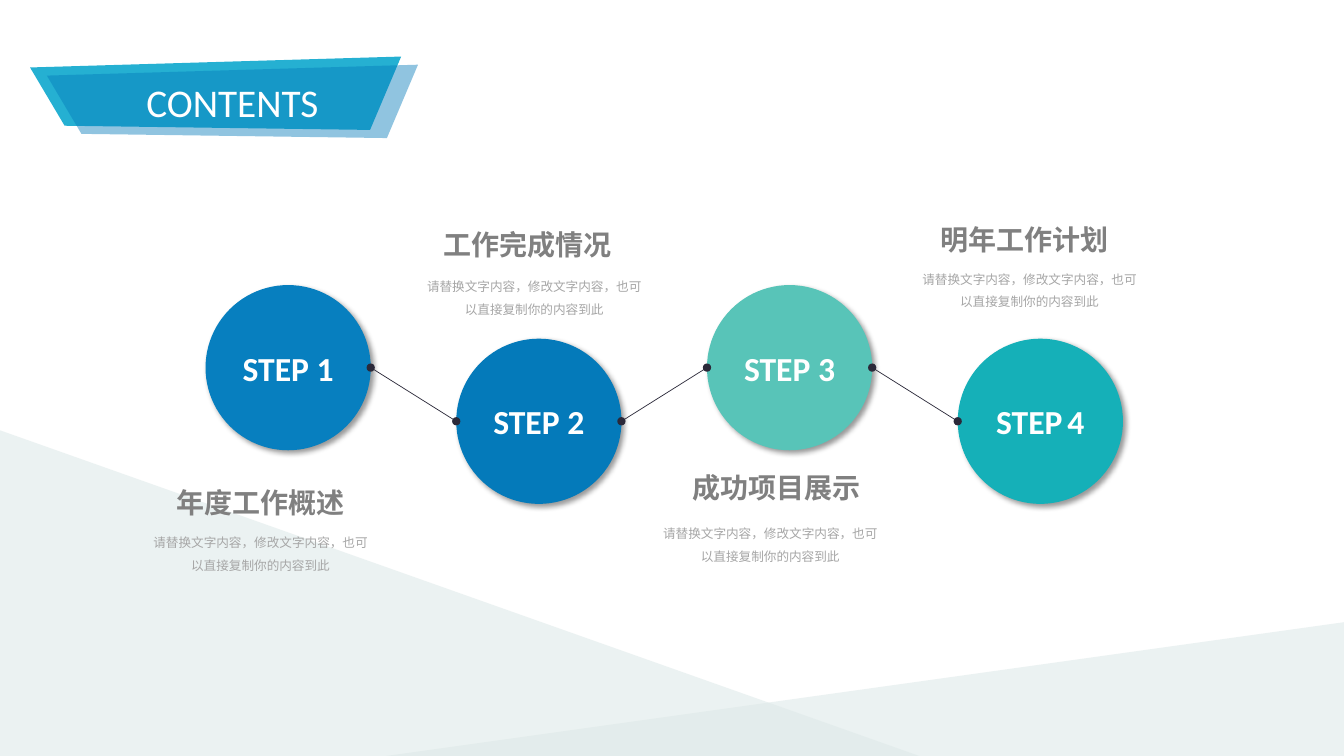
"""Build a contents slide with four linked steps."""
import pptx
import pptx.dml.color
import pptx.enum.shapes
import pptx.enum.text
import pptx.oxml
import pptx.oxml.ns
import pptx.util

Pt = pptx.util.Pt
SHAPE = pptx.enum.shapes.MSO_SHAPE
ALIGN = pptx.enum.text.PP_ALIGN
NS = pptx.oxml.ns.nsdecls("a")
SHADOW = (
    f'<a:effectLst {NS}><a:outerShdw blurRad="{Pt(4)}" dist="{Pt(3)}" dir="2700000" '
    'algn="tl" rotWithShape="0"><a:srgbClr val="000000"><a:alpha val="40000"/>'
    '</a:srgbClr></a:outerShdw></a:effectLst>'
)


def rgb(value):
    return pptx.dml.color.RGBColor.from_string(value)


class Deck:
    font = "Calibri"
    white = "FFFFFF"
    pale = "DDE9E8"
    ink = "2B2939"
    heading = "808080"
    body = "A6A6A6"

    def __init__(self, slide):
        self.shapes = slide.shapes

    def paint(self, s, color, alpha=100):
        s.shadow.inherit = False
        s.fill.solid()
        s.fill.fore_color.rgb = rgb(color)
        s.line.fill.background()
        if alpha < 100:
            clr = s._element.spPr.find(".//" + pptx.oxml.ns.qn("a:srgbClr"))
            clr.append(pptx.oxml.parse_xml(f'<a:alpha {NS} val="{alpha * 1000}"/>'))

    def paragraph(self, tf, runs, size, color, bold=False, align=ALIGN.CENTER, spacing=None):
        p = tf.paragraphs[0]
        p.alignment = align
        p.line_spacing = spacing
        p.font.name = self.font
        p.font.size = Pt(size)
        p.font.bold = bold
        p.font.color.rgb = rgb(color)
        for text, run_size in runs:
            r = p.add_run()
            r.text = text
            if run_size:
                r.font.size = Pt(run_size)

    def triangle(self, x, y, w, h, flip=False):
        s = self.shapes.add_shape(SHAPE.RIGHT_TRIANGLE, Pt(x), Pt(y), Pt(w), Pt(h))
        self.paint(s, self.pale, 56)
        if flip:
            s._element.spPr.find(pptx.oxml.ns.qn("a:xfrm")).set("flipH", "1")

    def ribbon(self, points, color, alpha=100, text=None):
        start, *rest = [(Pt(x), Pt(y)) for x, y in points]
        builder = self.shapes.build_freeform(*start)
        builder.add_line_segments(rest, close=True)
        s = builder.convert_to_shape()
        self.paint(s, color, alpha)
        if text:
            s.text_frame.vertical_anchor = pptx.enum.text.MSO_ANCHOR.MIDDLE
            self.paragraph(s.text_frame, [(text, None)], 28, self.white)

    def circle(self, x, y, d, color, runs):
        s = self.shapes.add_shape(SHAPE.OVAL, Pt(x), Pt(y), Pt(d), Pt(d))
        self.paint(s, color)
        spPr = s._element.spPr
        spPr.remove(spPr.find(pptx.oxml.ns.qn("a:effectLst")))
        spPr.append(pptx.oxml.parse_xml(SHADOW))
        tf = s.text_frame
        tf.margin_left = tf.margin_right = Pt(5)
        tf.margin_top = tf.margin_bottom = Pt(3)
        tf.vertical_anchor = pptx.enum.text.MSO_ANCHOR.MIDDLE
        self.paragraph(tf, runs, 24, self.white, bold=True)

    def link(self, x1, y1, x2, y2):
        s = self.shapes.add_connector(
            pptx.enum.shapes.MSO_CONNECTOR.STRAIGHT, Pt(x1), Pt(y1), Pt(x2), Pt(y2))
        s.line.color.rgb = rgb(self.ink)
        s.line.width = Pt(0.5)
        ln = s._element.spPr.find(pptx.oxml.ns.qn("a:ln"))
        for end in ("headEnd", "tailEnd"):
            ln.append(pptx.oxml.parse_xml(f'<a:{end} {NS} type="oval"/>'))
        s._element.spPr.append(pptx.oxml.parse_xml(f"<a:effectLst {NS}/>"))

    def text(self, x, y, w, h, text, size, color, **style):
        tf = self.shapes.add_textbox(Pt(x), Pt(y), Pt(w), Pt(h)).text_frame
        tf.margin_left = tf.margin_right = tf.margin_top = tf.margin_bottom = 0
        tf.word_wrap = True
        tf.auto_size = pptx.enum.text.MSO_AUTO_SIZE.SHAPE_TO_FIT_TEXT
        self.paragraph(tf, [(text, None)], size, color, **style)


def main():
    prs = pptx.Presentation()
    prs.slide_width, prs.slide_height = Pt(960), Pt(540)
    deck = Deck(prs.slides.add_slide(prs.slide_layouts[6]))

    deck.triangle(275.8, 443.8, 689, 96.2, flip=True)
    deck.triangle(0, 307.4, 656.6, 232.6)

    banner = [(21.5, 48.2), (46.2, 89.8), (264.4, 92.8), (286.6, 40.4)]
    deck.ribbon(banner, "25B0D2")
    deck.ribbon([(x + 12, y + 5.8) for x, y in banner], "047ABA", 44, "CONTENTS")

    d, left, pitch, tops = 118, 146.8, 179.1, (203.6, 241.9)
    steps = [
        ("077FBF", [("STEP 1", None)]),
        ("047ABA", [("STEP 2", None)]),
        ("58C4B8", [("STEP 3", None)]),
        ("15B0B8", [("STEP", None), (" ", 15), ("4", None)]),
    ]
    spots = [(left + i * pitch, tops[i % 2]) for i in range(len(steps))]
    for (x, y), (color, runs) in zip(spots, steps):
        deck.circle(x, y, d, color, runs)
    for (x1, y1), (x2, y2) in zip(spots, spots[1:]):
        deck.link(x1 + d, y1 + d / 2, x2, y2 + d / 2)

    detail = "请替换文字内容，修改文字内容，也可以直接复制你的内容到此"
    captions = [
        ("年度工作概述", 126, 347, 107.5, 376.6),
        ("工作完成情况", 316.8, 162.7, 303, 193.7),
        ("成功项目展示", 494.6, 336.2, 471.6, 370.1),
        ("明年工作计划", 671.8, 159.1, 656.8, 188.6),
    ]
    for title, tx, ty, dx, dy in captions:
        deck.text(tx, ty, 192, 24.5, title, 20, deck.heading, bold=True, align=ALIGN.LEFT)
        deck.text(dx, dy, 157, 31, detail, 9, deck.body, spacing=1.5)

    prs.save("out.pptx")


if __name__ == "__main__":
    main()
